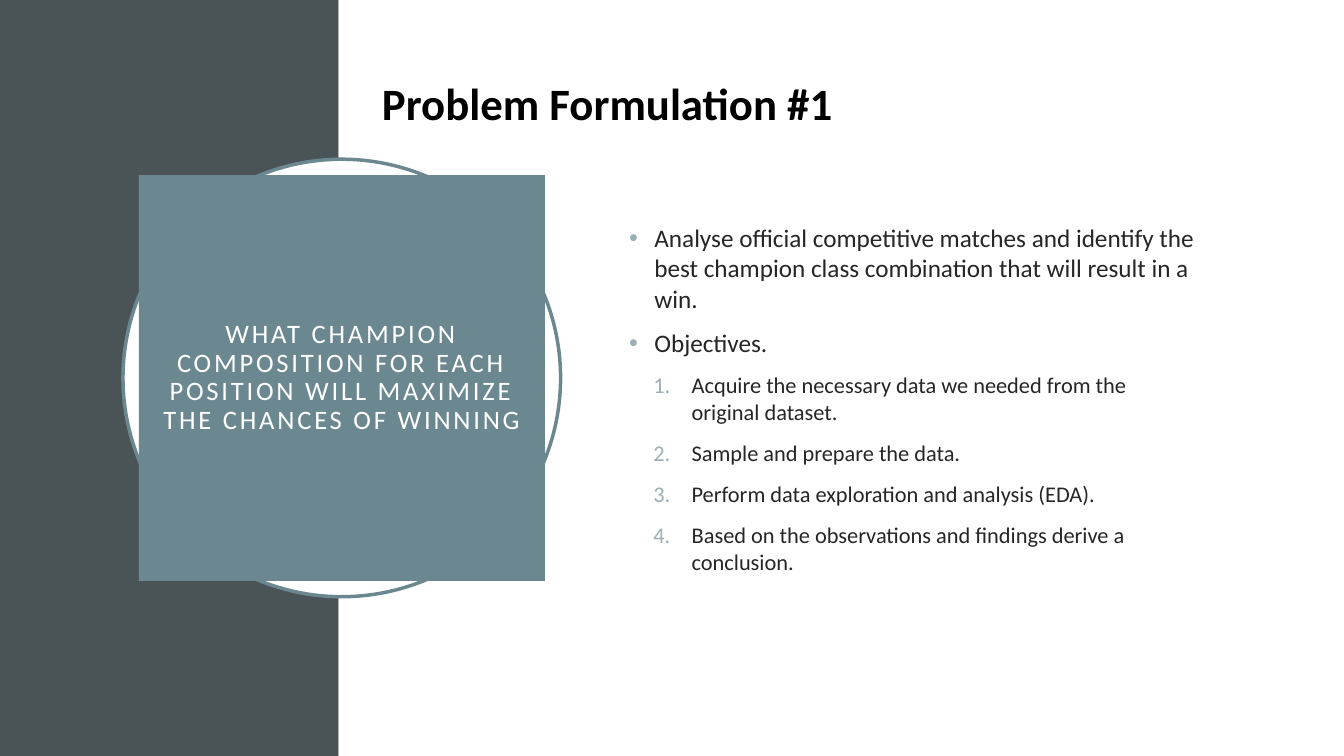
import pptx
import pptx.dml.color
import pptx.enum.shapes
import pptx.enum.text
import pptx.oxml.ns
import pptx.util
from lxml import etree

WIDTH, HEIGHT = 13.33, 7.5
PANEL_SHARE = 0.252
SLATE, TEAL, PALE_TEAL = "4A5356", "6B8891", "9BAFB5"
WHITE, BLACK, INK = "FFFFFF", "000000", "262626"
FONT = "Calibri"

QUESTION = ("WHAT CHAMPION COMPOSITION FOR EACH POSITION WILL MAXIMIZE "
            "THE CHANCES OF WINNING")
POINTS = [
    (0, "Analyse official competitive matches and identify the best champion "
        "class combination that will result in a win."),
    (0, "Objectives."),
    (1, "Acquire the necessary data we needed from the original dataset."),
    (1, "Sample and prepare the data."),
    (1, "Perform data exploration and analysis (EDA)."),
    (1, "Based on the observations and findings derive a conclusion."),
]
# Per level: text size, left margin, hanging indent, bullet element
LEVELS = [
    (18, 0.25, -0.25, ("buChar", {"char": "•"})),
    (16, 0.62, -0.38, ("buAutoNum", {"type": "arabicPeriod"})),
]


def color(hex_text):
    return pptx.dml.color.RGBColor.from_string(hex_text)


def place(shape, box):
    shape.left, shape.top, shape.width, shape.height = map(pptx.util.Inches, box)


def paint(shape, fill):
    shape.fill.solid()
    shape.fill.fore_color.rgb = color(fill)


def bring_to_front(shape):
    shape.element.getparent().append(shape.element)


def add_span(para, text, size, tint, bold=False):
    span = para.add_run()
    span.text = text
    span.font.name = FONT
    span.font.size = pptx.util.Pt(size)
    span.font.bold = bold
    span.font.color.rgb = color(tint)
    return span


def add_plain_shape(page, kind, box, fill):
    shape = page.shapes.add_shape(kind, *map(pptx.util.Inches, box))
    shape.shadow.inherit = False
    paint(shape, fill)
    shape.line.fill.background()
    return shape


def add_bullet(para, left, indent, bullet):
    properties = para._p.get_or_add_pPr()
    properties.set("marL", str(pptx.util.Inches(left)))
    properties.set("indent", str(pptx.util.Inches(indent)))
    qn = pptx.oxml.ns.qn
    tint = etree.SubElement(properties, qn("a:buClr"))
    etree.SubElement(tint, qn("a:srgbClr"), val=PALE_TEAL)
    etree.SubElement(properties, qn("a:buFont"), typeface="Arial" if bullet[0] == "buChar" else FONT)
    etree.SubElement(properties, qn("a:" + bullet[0]), **bullet[1])


def build_background(page, box):
    """Dark panel on the left, white area on the rest."""
    left, top, width, height = box
    split = width * PANEL_SHARE
    kind = pptx.enum.shapes.MSO_SHAPE.RECTANGLE
    add_plain_shape(page, kind, (left, top, split, height), SLATE)
    add_plain_shape(page, kind, (left + split, top, width - split, height), WHITE)


def build_question(page, box):
    """Ring with the question square centred in it."""
    left, top, side, _ = box
    ring = add_plain_shape(page, pptx.enum.shapes.MSO_SHAPE.OVAL, box, WHITE)
    ring.line.color.rgb = color(TEAL)
    ring.line.width = pptx.util.Pt(2.5)

    inset = side * 0.036
    question = page.shapes.title
    place(question, (left + inset, top + inset, side - 2 * inset, side - 2 * inset))
    paint(question, TEAL)
    bring_to_front(question)
    frame = question.text_frame
    frame.word_wrap = True
    frame.auto_size = pptx.enum.text.MSO_AUTO_SIZE.NONE
    frame.vertical_anchor = pptx.enum.text.MSO_ANCHOR.MIDDLE
    frame.margin_left = frame.margin_right = pptx.util.Inches(0.2)
    frame.margin_top = frame.margin_bottom = pptx.util.Inches(0.2)
    para = frame.paragraphs[0]
    para.alignment = pptx.enum.text.PP_ALIGN.CENTER
    para.line_spacing = 0.9
    span = add_span(para, QUESTION, 19, WHITE)
    span.font._element.set("spc", "200")


def build_points(page, box):
    """Bulleted statement followed by numbered objectives."""
    body = page.placeholders[1]
    place(body, box)
    bring_to_front(body)
    frame = body.text_frame
    frame.word_wrap = True
    frame.auto_size = pptx.enum.text.MSO_AUTO_SIZE.NONE
    frame.vertical_anchor = pptx.enum.text.MSO_ANCHOR.MIDDLE
    for index, (level, text) in enumerate(POINTS):
        para = frame.add_paragraph() if index else frame.paragraphs[0]
        size, left, indent, bullet = LEVELS[level]
        para.level = level
        add_bullet(para, left, indent, bullet)
        para.line_spacing = 1.0
        para.space_before = pptx.util.Pt(10 if index else 0)
        add_span(para, text, size, INK)


def build_heading(page, box):
    """Heading above the list."""
    heading = page.shapes.add_textbox(*map(pptx.util.Inches, box))
    frame = heading.text_frame
    frame.word_wrap = True
    frame.auto_size = pptx.enum.text.MSO_AUTO_SIZE.SHAPE_TO_FIT_TEXT
    add_span(frame.paragraphs[0], "Problem Formulation #1", 32, BLACK, bold=True)


def main():
    deck = pptx.Presentation()
    deck.slide_width = pptx.util.Inches(WIDTH)
    deck.slide_height = pptx.util.Inches(HEIGHT)
    page = deck.slides.add_slide(deck.slide_layouts[1])
    build_background(page, (0, 0, WIDTH, HEIGHT))
    build_question(page, (1.22, 1.58, 4.34, 4.34))
    build_points(page, (6.14, 1.74, 5.82, 4.43))
    build_heading(page, (3.69, 0.7, WIDTH / 2, 0.64))
    deck.save("out.pptx")


if __name__ == "__main__":
    main()
